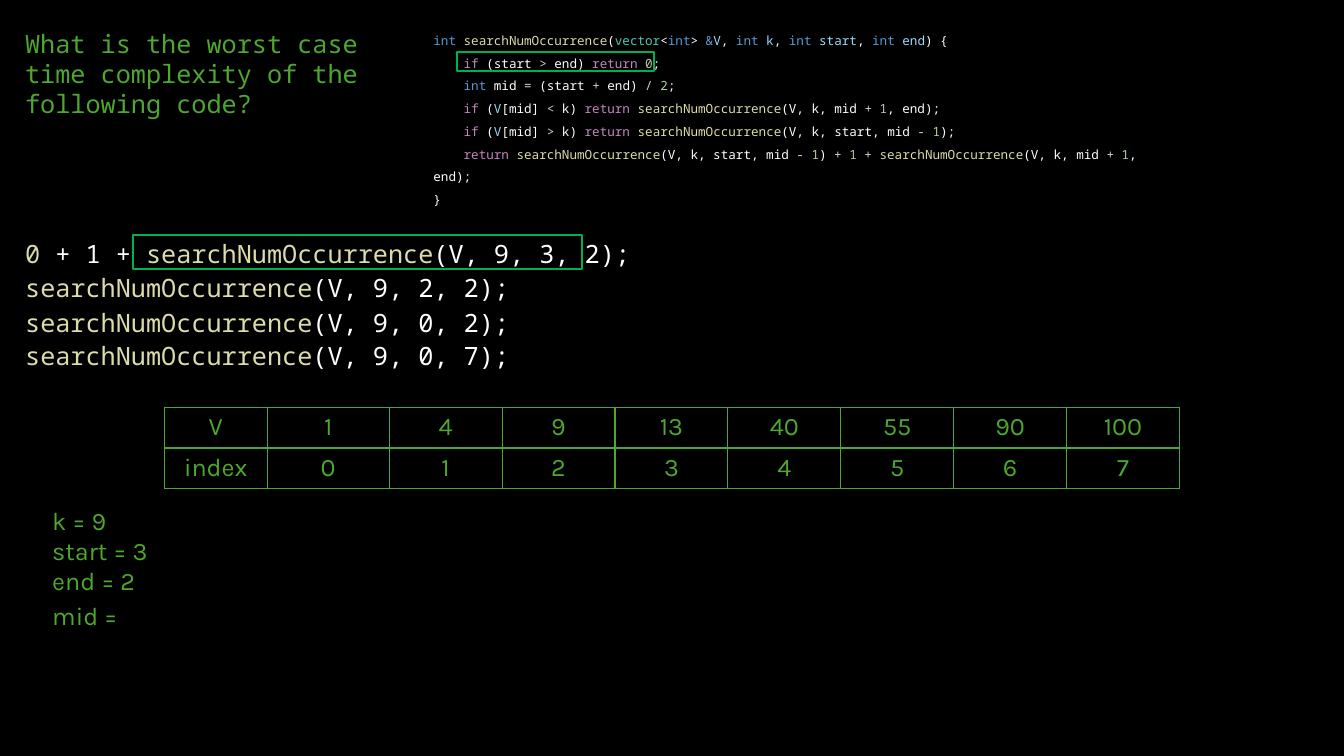
from dataclasses import dataclass
from functools import partial
from typing import NamedTuple

from lxml import etree
from pptx import Presentation
from pptx.dml.color import RGBColor
from pptx.enum.shapes import MSO_SHAPE
from pptx.enum.text import MSO_ANCHOR, MSO_AUTO_SIZE, PP_ALIGN
from pptx.oxml.ns import qn
from pptx.util import Inches, Pt

RECTANGLE = MSO_SHAPE.RECTANGLE
GROW = MSO_AUTO_SIZE.SHAPE_TO_FIT_TEXT
TOP = MSO_ANCHOR.TOP
LEFT, CENTER = PP_ALIGN.LEFT, PP_ALIGN.CENTER

SLIDE_WIDTH, SLIDE_HEIGHT = Inches(13.33), Inches(7.5)
GREEN, HIGHLIGHT, BLACK = "4EA72E", "00B050", "000000"
MONO, SANS = "Noto Sans Mono", "Karla"
CODE_INDENT = 2.25


class Token(NamedTuple):
    color: str
    text: str


class Area(NamedTuple):
    """Left, top, width and height in percent of the slide."""
    left: float
    top: float
    width: float
    height: float


@dataclass
class Line:
    tokens: list[Token]
    indent: float = 0


@dataclass
class TextBlock:
    area: Area
    lines: list[Line]
    font: str = MONO
    size: float = 18
    spacing: float = 1


plain = partial(Token, "FFFFFF")
kind = partial(Token, "569CD6")
control = partial(Token, "C586C0")
variable = partial(Token, "9CDCFE")
operator = partial(Token, "D4D4D4")
number = partial(Token, "B5CEA8")
function = partial(Token, "DCDCAA")
green = partial(Token, GREEN)
SEARCH = function("searchNumOccurrence")
RETURN = control("return ")


def across(share: float) -> int:
    return round(SLIDE_WIDTH * share / 100)


def down(share: float) -> int:
    return round(SLIDE_HEIGHT * share / 100)


def place(area: Area) -> tuple[int, int, int, int]:
    return across(area.left), down(area.top), across(area.width), down(area.height)


def rgb(color: str) -> RGBColor:
    return RGBColor.from_string(color)


def write(paragraph, text: str, *, font: str, size: float, color: str) -> None:
    run = paragraph.add_run()
    run.text = text
    run.font.name = font
    run.font.size = Pt(size)
    run.font.color.rgb = rgb(color)


def draw_text(slide, block: TextBlock) -> None:
    frame = slide.shapes.add_textbox(*place(block.area)).text_frame
    frame.word_wrap = True
    frame.auto_size = GROW
    frame.vertical_anchor = TOP
    for position, line in enumerate(block.lines):
        paragraph = frame.add_paragraph() if position else frame.paragraphs[0]
        paragraph.alignment = LEFT
        paragraph.line_spacing = block.spacing
        if line.indent:
            paragraph._p.get_or_add_pPr().set("indent", str(across(line.indent)))
        for token in line.tokens:
            write(paragraph, token.text, font=block.font, size=block.size, color=token.color)


def draw_highlight(slide, area: Area) -> None:
    frame = slide.shapes.add_shape(RECTANGLE, *place(area))
    frame.shadow.inherit = False
    frame.fill.background()
    frame.line.color.rgb = rgb(HIGHLIGHT)
    frame.line.width = Pt(1.5)


def draw_borders(cell, color: str, width: float) -> None:
    properties = cell._tc.get_or_add_tcPr()
    for position, side in enumerate(("a:lnL", "a:lnR", "a:lnT", "a:lnB")):
        border = etree.Element(qn(side), w=str(Pt(width)))
        fill = etree.SubElement(border, qn("a:solidFill"))
        etree.SubElement(fill, qn("a:srgbClr"), val=color)
        properties.insert(position, border)


def draw_array(slide, area: Area, columns: list[float], rows: list[list[str]]) -> None:
    table = slide.shapes.add_table(len(rows), len(columns), *place(area)).table
    table.first_row = False
    table.horz_banding = False
    for column, width in zip(table.columns, columns):
        column.width = across(width)
    for row_index, values in enumerate(rows):
        table.rows[row_index].height = down(area.height / len(rows))
        for column_index, value in enumerate(values):
            cell = table.cell(row_index, column_index)
            cell.fill.background()
            draw_borders(cell, GREEN, 1)
            paragraph = cell.text_frame.paragraphs[0]
            paragraph.alignment = CENTER
            write(paragraph, value, font=SANS, size=18, color=GREEN)


def comparison(sign: str, arguments: str, step: str, ending: str) -> Line:
    return Line([control("if"), plain(" ("), variable("V"), plain("[mid] "), operator(sign),
                 plain(" k) "), RETURN, SEARCH, plain(arguments), operator(step),
                 number("1"), plain(ending)], CODE_INDENT)


def parameter(name: str) -> list[Token]:
    return [plain(", "), kind("int "), variable(name)]


QUESTION = TextBlock(
    Area(1.13, 3.07, 30.38, 13.47),
    [Line([green("What is the worst case time complexity of the following code?")])])

CODE = TextBlock(Area(31.51, 2.67, 55.36, 22.27), [
    Line([kind("int "), SEARCH, plain("("), Token("4EC9B0", "vector"), plain("<"),
          kind("int"), plain("> "), kind("&"), variable("V"), *parameter("k"),
          *parameter("start"), *parameter("end"), plain(") {")]),
    Line([control("if"), plain(" (start "), operator(">"), plain(" end) "), RETURN,
          number("0"), plain(";")], CODE_INDENT),
    Line([kind("int"), plain(" mid "), operator("="), plain(" (start "), operator("+"),
          plain(" end) "), operator("/ "), number("2"), plain(";")], CODE_INDENT),
    comparison("<", "(V, k, mid ", "+ ", ", end);"),
    comparison(">", "(V, k, start, mid ", "- ", ");"),
    Line([RETURN, SEARCH, plain("(V, k, start, mid "), operator("- "), number("1"),
          plain(") "), operator("+ "), number("1 "), operator("+ "), SEARCH,
          plain("(V, k, mid "), operator("+ "), number("1"), plain(", end);")], CODE_INDENT),
    Line([plain("}")]),
], size=9, spacing=1.5)

CALL_STACK = [
    (28.93, 74.27, [function("0"), plain(" + 1 + "), SEARCH, plain("(V, 9, 3, 2);")]),
    (33.33, 50.04, [SEARCH, plain("(V, 9, 2, 2);")]),
    (38, 50.04, [SEARCH, plain("(V, 9, 0, 2);")]),
    (42.4, 50.04, [SEARCH, plain("(V, 9, 0, 7);")]),
]
CALLS = [TextBlock(Area(1.13, top, width, 6.8), [Line(tokens)], spacing=1.5)
         for top, width, tokens in CALL_STACK]

STATE = [
    TextBlock(Area(3.15, 66.13, 12.53, 13.47),
              [Line([green(text)]) for text in ("k = 9", "start = 3", "end = 2")], SANS),
    TextBlock(Area(3.15, 78.8, 18, 5.33), [Line([green("mid =")])], SANS),
]

VALUES = [1, 4, 9, 13, 40, 55, 90, 100]
ARRAY_ROWS = [["V", *map(str, VALUES)], ["index", *map(str, range(len(VALUES)))]]
ARRAY_COLUMNS = [7.65, 9.08] + [8.4] * 7
ARRAY_AREA = Area(12.23, 53.87, sum(ARRAY_COLUMNS), 10.8)
HIGHLIGHTS = [Area(33.98, 6.93, 14.7, 2.53), Area(9.9, 31.07, 33.38, 4.53)]


def main() -> None:
    deck = Presentation()
    deck.slide_width, deck.slide_height = SLIDE_WIDTH, SLIDE_HEIGHT
    slide = deck.slides.add_slide(deck.slide_layouts[6])
    slide.background.fill.solid()
    slide.background.fill.fore_color.rgb = rgb(BLACK)
    for block in (QUESTION, CODE):
        draw_text(slide, block)
    draw_array(slide, ARRAY_AREA, ARRAY_COLUMNS, ARRAY_ROWS)
    for block in CALLS + STATE:
        draw_text(slide, block)
    for area in HIGHLIGHTS:
        draw_highlight(slide, area)
    deck.save("out.pptx")


if __name__ == "__main__":
    main()
